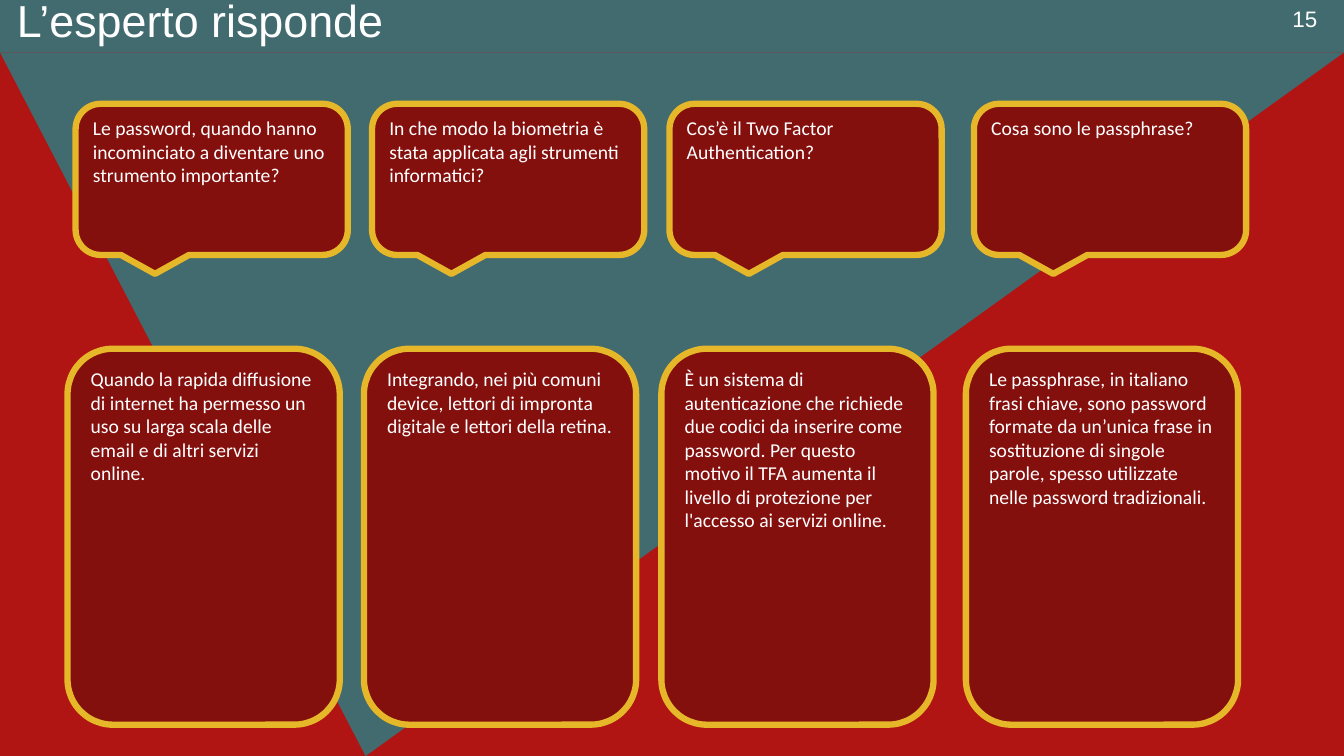
"""Build the question-and-answer slide on passwords."""
import pptx
import pptx.util
import pptx.dml.color
import pptx.enum.shapes
import pptx.enum.text

Inches = pptx.util.Inches
Pt = pptx.util.Pt
RGBColor = pptx.dml.color.RGBColor
Shape = pptx.enum.shapes.MSO_SHAPE
Align = pptx.enum.text.PP_ALIGN
Anchor = pptx.enum.text.MSO_ANCHOR

TITLE = "L’esperto risponde"
NUMBER = "15"
CARDS = [
    (0.75, "Le password, quando hanno incominciato a diventare uno strumento importante?",
     "Quando la rapida diffusione di internet ha permesso un uso su larga scala "
     "delle email e di altri servizi online."),
    (3.69, "In che modo la biometria è stata applicata agli strumenti informatici?",
     "Integrando, nei più comuni device, lettori di impronta digitale e lettori della retina."),
    (6.64, "Cos’è il Two Factor Authentication?",
     "È un sistema di autenticazione che richiede due codici da inserire come password. "
     "Per questo motivo il TFA aumenta il livello di protezione per l'accesso ai servizi online."),
    (9.66, "Cosa sono le passphrase?",
     "Le passphrase, in italiano frasi chiave, sono password formate da un’unica frase in "
     "sostituzione di singole parole, spesso utilizzate nelle password tradizionali."),
]

RED = RGBColor(0xB0, 0x15, 0x13)
DARK = RGBColor(0x84, 0x10, 0x0E)
TEAL = RGBColor(0x42, 0x6B, 0x6F)
GOLD = RGBColor(0xE6, 0xB7, 0x29)
WHITE = RGBColor(0xFF, 0xFF, 0xFF)

WIDE, HIGH, BAND = 13.33, 7.5, 0.52
CARD = 2.7
SHIFT = 0.08


def write(shape, text, size, face):
    frame = shape.text_frame
    frame.word_wrap = True
    frame.vertical_anchor = Anchor.TOP
    para = frame.paragraphs[0]
    para.alignment = Align.LEFT
    run = para.add_run()
    run.text = text
    run.font.size = Pt(size)
    run.font.name = face
    run.font.color.rgb = WHITE
    return frame


def draw(slide, kind, box, fill):
    shape = slide.shapes.add_shape(kind, *map(Inches, box))
    shape.shadow.inherit = False
    shape.fill.solid()
    shape.fill.fore_color.rgb = fill
    shape.line.fill.background()
    return shape


def label(slide, box, text, size):
    return write(slide.shapes.add_textbox(*map(Inches, box)), text, size, "Arial")


def card(slide, kind, box, text):
    shape = draw(slide, kind, box, DARK)
    shape.line.color.rgb = GOLD
    shape.line.width = Pt(4.5)
    write(shape, text, 14, "Calibri")


def main():
    deck = pptx.Presentation()
    deck.slide_width, deck.slide_height = Inches(WIDE), Inches(HIGH)
    slide = deck.slides.add_slide(deck.slide_layouts[6])
    slide.background.fill.solid()
    slide.background.fill.fore_color.rgb = RED

    wedge = draw(slide, Shape.ISOSCELES_TRIANGLE, (0, BAND, WIDE, HIGH - BAND), TEAL)
    wedge.adjustments[0] = 0.728
    wedge.rotation = 180
    draw(slide, Shape.RECTANGLE, (0, 0, WIDE, BAND), TEAL)

    label(slide, (12.72, 0, 0.55, 0.37), NUMBER, 16)
    head = label(slide, (0.07, -0.07, 12.57, 0.55), TITLE, 32)
    head.margin_top = head.margin_bottom = 0

    for left, ask, reply in CARDS:
        card(slide, Shape.ROUNDED_RECTANGULAR_CALLOUT, (left, 1.03, CARD, 1.5), ask)
        card(slide, Shape.ROUNDED_RECTANGLE, (left - SHIFT, 3.46, CARD, 3.73), reply)

    deck.save("out.pptx")


if __name__ == "__main__":
    main()
